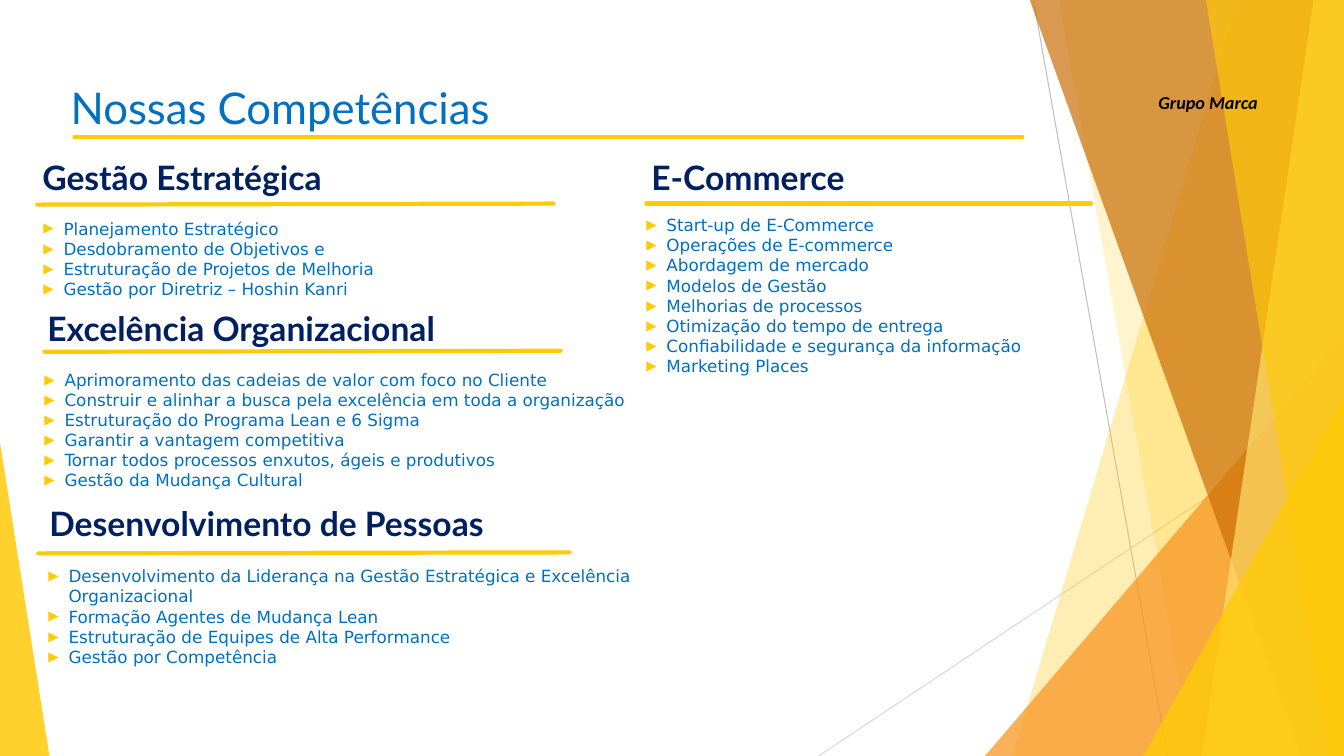
from lxml.etree import SubElement
from pptx import Presentation
from pptx.dml.color import RGBColor
from pptx.enum.shapes import MSO_CONNECTOR, MSO_SHAPE
from pptx.enum.text import MSO_ANCHOR, MSO_AUTO_SIZE, PP_ALIGN
from pptx.oxml.ns import qn
from pptx.util import Pt

EMU_PER_PX = 9144
SLIDE_WIDTH, SLIDE_HEIGHT = 1333, 750

GOLD = RGBColor(0xFF, 0xCA, 0x08)
PALE_GOLD = RGBColor(0xFF, 0xDF, 0x6B)
ORANGE = RGBColor(0xF8, 0x93, 0x1D)
BROWN = RGBColor(0xCA, 0x6F, 0x06)
GRAY = RGBColor(0xBF, 0xBF, 0xBF)
LIGHT_GRAY = RGBColor(0xD9, 0xD9, 0xD9)
BLUE = RGBColor(0x00, 0x70, 0xC0)
NAVY = RGBColor(0x00, 0x20, 0x60)
BLACK = RGBColor(0x00, 0x00, 0x00)

TITLE_FONT = {"name": "Lato", "size": Pt(31.2), "bold": False}
HEADING_FONT = {"name": "Lato", "size": Pt(24), "bold": True}
LIST_FONT = {"name": "DejaVu Sans", "size": Pt(12), "bold": False}
BRAND_FONT = {"name": "Calibri", "size": Pt(13), "bold": True, "italic": True}

PLAIN_PARAGRAPH = {
    "alignment": PP_ALIGN.LEFT,
    "line_spacing": 1.0,
    "space_before": Pt(0),
    "space_after": Pt(0),
}
BRAND_PARAGRAPH = PLAIN_PARAGRAPH | {"space_before": Pt(5), "space_after": Pt(5)}

SECTIONS = [
    {
        "heading": "Gestão Estratégica",
        "heading_box": (35, 159, 399, 41),
        "heading_spacing": 0.8,
        "rule": (37, 203, 549, 202),
        "list_box": (43, 216, 448, 81),
        "items": [
            "Planejamento Estratégico",
            "Desdobramento de Objetivos e",
            "Estruturação de Projetos de Melhoria",
            "Gestão por Diretriz – Hoshin Kanri",
        ],
    },
    {
        "heading": "Excelência Organizacional",
        "heading_box": (40, 300, 481, 51),
        "heading_spacing": 1.0,
        "rule": (44, 349, 556, 348),
        "list_box": (44, 366, 606, 121),
        "items": [
            "Aprimoramento das cadeias de valor com foco no Cliente",
            "Construir e alinhar a busca pela excelência em toda a organização",
            "Estruturação do Programa Lean e 6 Sigma",
            "Garantir a vantagem competitiva",
            "Tornar todos processos enxutos, ágeis e produtivos",
            "Gestão da Mudança Cultural",
        ],
    },
    {
        "heading": "Desenvolvimento de Pessoas",
        "heading_box": (42, 495, 537, 53),
        "heading_spacing": 0.9,
        "rule": (38, 549, 565, 548),
        "list_box": (48, 571, 707, 81),
        "items": [
            "Desenvolvimento da Liderança na Gestão Estratégica e Excelência Organizacional",
            "Formação Agentes de Mudança Lean",
            "Estruturação de Equipes de Alta Performance",
            "Gestão por Competência",
        ],
    },
    {
        "heading": "E-Commerce",
        "heading_box": (639, 159, 399, 41),
        "heading_spacing": 0.8,
        "rule": (641, 202, 1082, 202),
        "list_box": (641, 212, 448, 162),
        "items": [
            "Start-up de E-Commerce",
            "Operações de E-commerce",
            "Abordagem de mercado",
            "Modelos de Gestão",
            "Melhorias de processos",
            "Otimização do tempo de entrega",
            "Confiabilidade e segurança da informação",
            "Marketing Places",
        ],
    },
]


def px(*lengths):
    return [length * EMU_PER_PX for length in lengths]


def apply_format(target, values):
    for name, value in values.items():
        setattr(target, name, value)


def add_line(slide, ends, color, width, cap="flat"):
    connector = slide.shapes.add_connector(MSO_CONNECTOR.STRAIGHT, *px(*ends))
    connector.line.color.rgb = color
    connector.line.width = Pt(width)
    connector.line._get_or_add_ln().set("cap", cap)
    SubElement(connector.element.spPr, qn("a:effectLst"))


def paint_facet(shape, color, opacity):
    shape.shadow.inherit = False
    shape.line.fill.background()
    shape.fill.solid()
    shape.fill.fore_color.rgb = color
    color_element = shape.element.spPr.find(qn("a:solidFill"))[0]
    SubElement(color_element, qn("a:alpha"), val=str(opacity * 1000))


def add_polygon(slide, top_left, bottom_left, color, opacity):
    builder = slide.shapes.build_freeform(top_left, -1, scale=EMU_PER_PX)
    corners = [(SLIDE_WIDTH, -1), (SLIDE_WIDTH, SLIDE_HEIGHT), (bottom_left, SLIDE_HEIGHT)]
    builder.add_line_segments(corners, close=True)
    paint_facet(builder.convert_to_shape(), color, opacity)


def add_triangle(slide, box, apex, color, opacity):
    triangle = slide.shapes.add_shape(MSO_SHAPE.ISOSCELES_TRIANGLE, *px(*box))
    triangle.adjustments[0] = apex
    paint_facet(triangle, color, opacity)


def add_bullet(paragraph):
    properties = paragraph._p.get_or_add_pPr()
    indent = 20 * EMU_PER_PX
    properties.set("marL", str(indent))
    properties.set("indent", str(-indent))
    bullet_color = SubElement(properties, qn("a:buClr"))
    SubElement(bullet_color, qn("a:srgbClr"), val=str(GOLD))
    SubElement(properties, qn("a:buSzPct"), val="80000")
    SubElement(properties, qn("a:buFont"), typeface="DejaVu Sans")
    SubElement(properties, qn("a:buChar"), char="▶")


def write_text(shape, box, lines, font, color, paragraph_format=PLAIN_PARAGRAPH,
               anchor=MSO_ANCHOR.TOP, margins=(10, 5), bulleted=False):
    apply_format(shape, dict(zip(("left", "top", "width", "height"), px(*box))))
    side, edge = px(*margins)
    frame = shape.text_frame
    apply_format(frame, {
        "word_wrap": True,
        "auto_size": MSO_AUTO_SIZE.SHAPE_TO_FIT_TEXT if bulleted else MSO_AUTO_SIZE.NONE,
        "vertical_anchor": anchor,
        "margin_left": side,
        "margin_right": side,
        "margin_top": edge,
        "margin_bottom": edge,
    })
    for index, line in enumerate(lines):
        paragraph = frame.add_paragraph() if index else frame.paragraphs[0]
        apply_format(paragraph, paragraph_format)
        if bulleted:
            add_bullet(paragraph)
        run = paragraph.add_run()
        run.text = line
        apply_format(run.font, font)
        run.font.color.rgb = color


def add_text_box(slide):
    return slide.shapes.add_textbox(0, 0, 0, 0)


def add_section(slide, section, list_shape):
    heading_format = PLAIN_PARAGRAPH | {"line_spacing": section["heading_spacing"]}
    write_text(add_text_box(slide), section["heading_box"], [section["heading"]],
               HEADING_FONT, NAVY, heading_format, MSO_ANCHOR.MIDDLE, (7, 4))
    write_text(list_shape, section["list_box"], section["items"], LIST_FONT, BLUE,
               anchor=MSO_ANCHOR.MIDDLE, margins=(0, 0), bulleted=True)
    add_line(slide, section["rule"], GOLD, 3, "rnd")


def add_facets(slide):
    add_line(slide, (1025, 0, 1158, 750), GRAY, 0.75)
    add_line(slide, (1333, 403, 812, 750), LIGHT_GRAY, 0.75)
    add_polygon(slide, 1228, 1004, GOLD, 30)
    add_polygon(slide, 1050, 1183, GOLD, 20)
    add_triangle(slide, (977, 333, 356, 417), 1, ORANGE, 72)
    add_polygon(slide, 1021, 1291, BROWN, 70)
    add_polygon(slide, 1303, 1192, PALE_GOLD, 70)
    add_polygon(slide, 1196, 1318, GOLD, 65)
    add_triangle(slide, (1134, 393, 199, 357), 1, GOLD, 80)
    add_triangle(slide, (0, 439, 49, 311), 0, GOLD, 85)


def main():
    presentation = Presentation()
    presentation.slide_width, presentation.slide_height = px(SLIDE_WIDTH, SLIDE_HEIGHT)
    slide = presentation.slides.add_slide(presentation.slide_layouts[1])
    add_facets(slide)
    write_text(add_text_box(slide), (1139, 86, 126, 36), ["Grupo Marca"],
               BRAND_FONT, BLACK, BRAND_PARAGRAPH)
    write_text(slide.shapes.title, (60, 75, 499, 71), ["Nossas Competências"],
               TITLE_FONT, BLUE)
    add_line(slide, (74, 136, 1014, 136), GOLD, 3, "rnd")
    for section in SECTIONS:
        is_body = section["heading"] == "Excelência Organizacional"
        list_shape = slide.placeholders[1] if is_body else add_text_box(slide)
        add_section(slide, section, list_shape)
    presentation.save("out.pptx")


if __name__ == "__main__":
    main()
